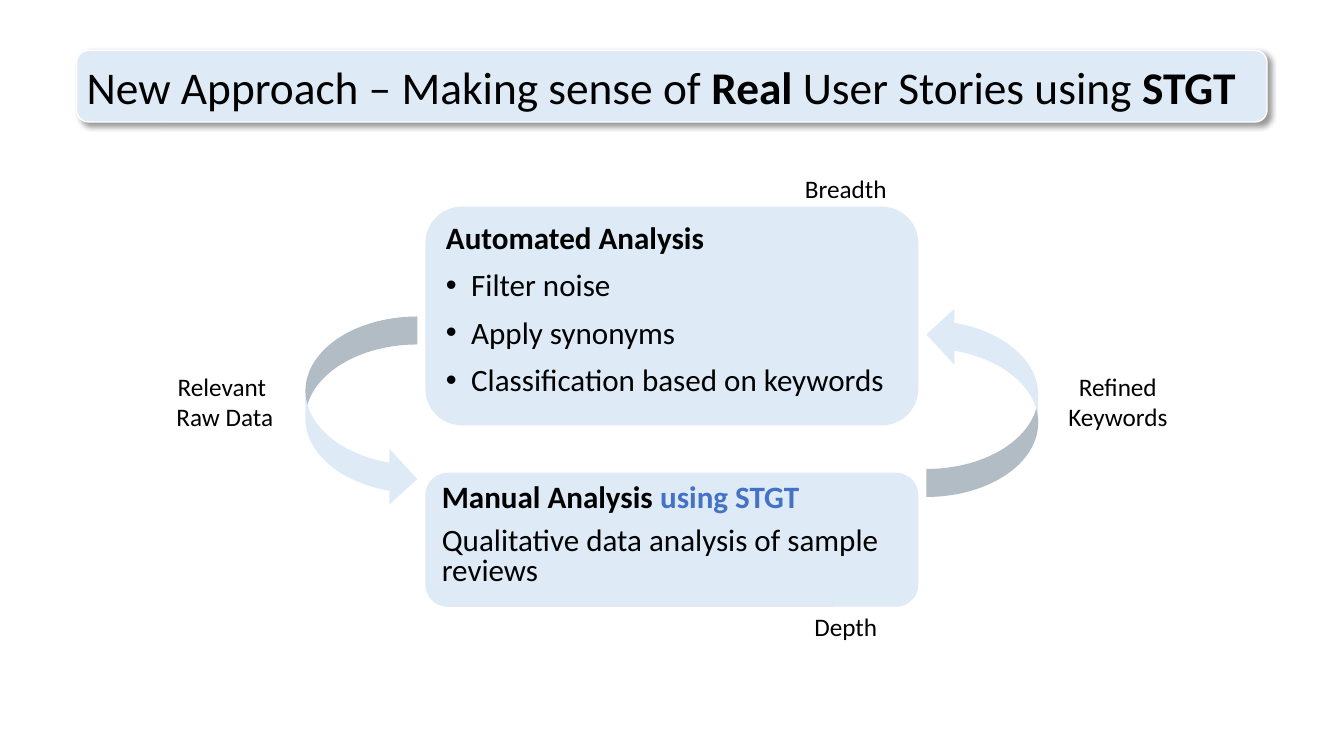
from lxml import etree
from pptx import Presentation
from pptx.dml.color import RGBColor
from pptx.enum.shapes import MSO_SHAPE
from pptx.enum.text import MSO_ANCHOR, MSO_AUTO_SIZE, PP_ALIGN
from pptx.oxml import parse_xml
from pptx.oxml.ns import qn
from pptx.util import Pt

ROUNDED = MSO_SHAPE.ROUNDED_RECTANGLE
CURVED_ARROW = MSO_SHAPE.CURVED_RIGHT_ARROW
TOP, MIDDLE = MSO_ANCHOR.TOP, MSO_ANCHOR.MIDDLE
LEFT, CENTER = PP_ALIGN.LEFT, PP_ALIGN.CENTER
NO_FIT, GROW = MSO_AUTO_SIZE.NONE, MSO_AUTO_SIZE.SHAPE_TO_FIT_TEXT

FONT = "Calibri"
PALE, BLACK, BLUE, WHITE = "DEEBF7", "000000", "4472C4", "FFFFFF"
BODY_SIZE = 22.2
BOX_LEFT, BOX_WIDTH = 303.84, 352.08
LABEL_WIDTH = 113.76

SHADOW = (
    '<a:effectLst xmlns:a="http://schemas.openxmlformats.org/drawingml/2006/main">'
    '<a:outerShdw blurRad="50800" dist="38100" dir="2700000" algn="tl" rotWithShape="0">'
    '<a:srgbClr val="000000"><a:alpha val="40000"/></a:srgbClr>'
    '</a:outerShdw></a:effectLst>'
)


def rgb(value):
    return RGBColor.from_string(value)


def style(font, size, color=BLACK, bold=None):
    font.name, font.size, font.bold = FONT, Pt(size), bold
    font.color.rgb = rgb(color)


def add_runs(p, runs, size):
    """Write (text, bold, color) runs into a paragraph."""
    for text, bold, color in runs:
        r = p.add_run()
        r.text = text
        style(r.font, size, color, bold)


def add_shape(slide, kind, left, top, width, height):
    sp = slide.shapes.add_shape(kind, Pt(left), Pt(top), Pt(width), Pt(height))
    sp.shadow.inherit = False
    sp.fill.solid()
    sp.fill.fore_color.rgb = rgb(PALE)
    sp.line.fill.background()
    return sp


def add_title(slide, runs):
    # Shadowed panel behind the title
    panel = add_shape(slide, ROUNDED, 54.72, 36, 850.32, 51.12)
    panel.line.color.rgb = rgb(WHITE)
    panel.line.width = Pt(1)
    props = panel.element.spPr
    props.remove(props.find(qn("a:effectLst")))
    props.append(parse_xml(SHADOW))

    title = slide.shapes.title
    title.element.addprevious(panel.element)
    title.left, title.top, title.width, title.height = Pt(54.72), Pt(28.8), Pt(850.32), Pt(71.28)
    tf = title.text_frame
    tf.vertical_anchor, tf.auto_size, tf.word_wrap = MIDDLE, NO_FIT, True
    p = tf.paragraphs[0]
    p.alignment, p.line_spacing = LEFT, 0.9
    add_runs(p, runs, 32.4)


def add_bullet(p):
    props = p._p.get_or_add_pPr()
    props.set("marL", str(Pt(18)))
    props.set("indent", str(-Pt(18)))
    etree.SubElement(props, qn("a:buFont")).set("typeface", "Arial")
    etree.SubElement(props, qn("a:buChar")).set("char", "•")


def add_box(slide, top, height, heading, lines, spacing, bulleted=False):
    tf = add_shape(slide, ROUNDED, BOX_LEFT, top, BOX_WIDTH, height).text_frame
    tf.word_wrap, tf.vertical_anchor = True, TOP
    p = tf.paragraphs[0]
    p.alignment, p.line_spacing = LEFT, spacing
    add_runs(p, heading, BODY_SIZE)
    for line in lines:
        p = tf.add_paragraph()
        p.text = line
        p.alignment, p.line_spacing, p.space_before = LEFT, spacing, Pt(10)
        if bulleted:
            add_bullet(p)
        style(p.font, BODY_SIZE)


def add_label(slide, text, left, top, height):
    tf = slide.shapes.add_textbox(Pt(left), Pt(top), Pt(LABEL_WIDTH), Pt(height)).text_frame
    tf.word_wrap, tf.auto_size = True, GROW
    p = tf.paragraphs[0]
    p.text = text
    p.alignment = CENTER
    style(p.font, 18)


def main():
    prs = Presentation()
    prs.slide_width, prs.slide_height = Pt(960), Pt(540)
    slide = prs.slides.add_slide(prs.slide_layouts[5])

    add_title(slide, [
        ("New Approach – Making sense of ", False, BLACK),
        ("Real", True, BLACK),
        (" User Stories using ", False, BLACK),
        ("STGT", True, BLACK),
    ])

    # Two analysis stages
    add_box(slide, 147.6, 156.24, [("Automated Analysis", True, BLACK)],
            ["Filter noise", "Apply synonyms", "Classification based on keywords"],
            0.9, bulleted=True)
    add_box(slide, 337.68, 95.76,
            [("Manual Analysis ", True, BLACK), ("using STGT", True, BLUE)],
            ["Qualitative data analysis of sample reviews"], 0.8)

    # Cycle arrows: down on the left, back up on the right
    for left, top, rotation in [(218.16, 226.08, 0), (661.68, 218.88, 180)]:
        arrow = add_shape(slide, CURVED_ARROW, left, top, 79.92, 136.08)
        arrow.rotation = rotation

    # Labels
    for text, left, top, height in [
        ("Refined Keywords", 741.6, 261.36, 51.12),
        ("Relevant \vRaw Data", 103.68, 261.36, 51.12),
        ("Breadth", 547.2, 120.24, 28.8),
        ("Depth", 547.2, 433.44, 28.8),
    ]:
        add_label(slide, text, left, top, height)

    prs.save("out.pptx")


if __name__ == "__main__":
    main()
